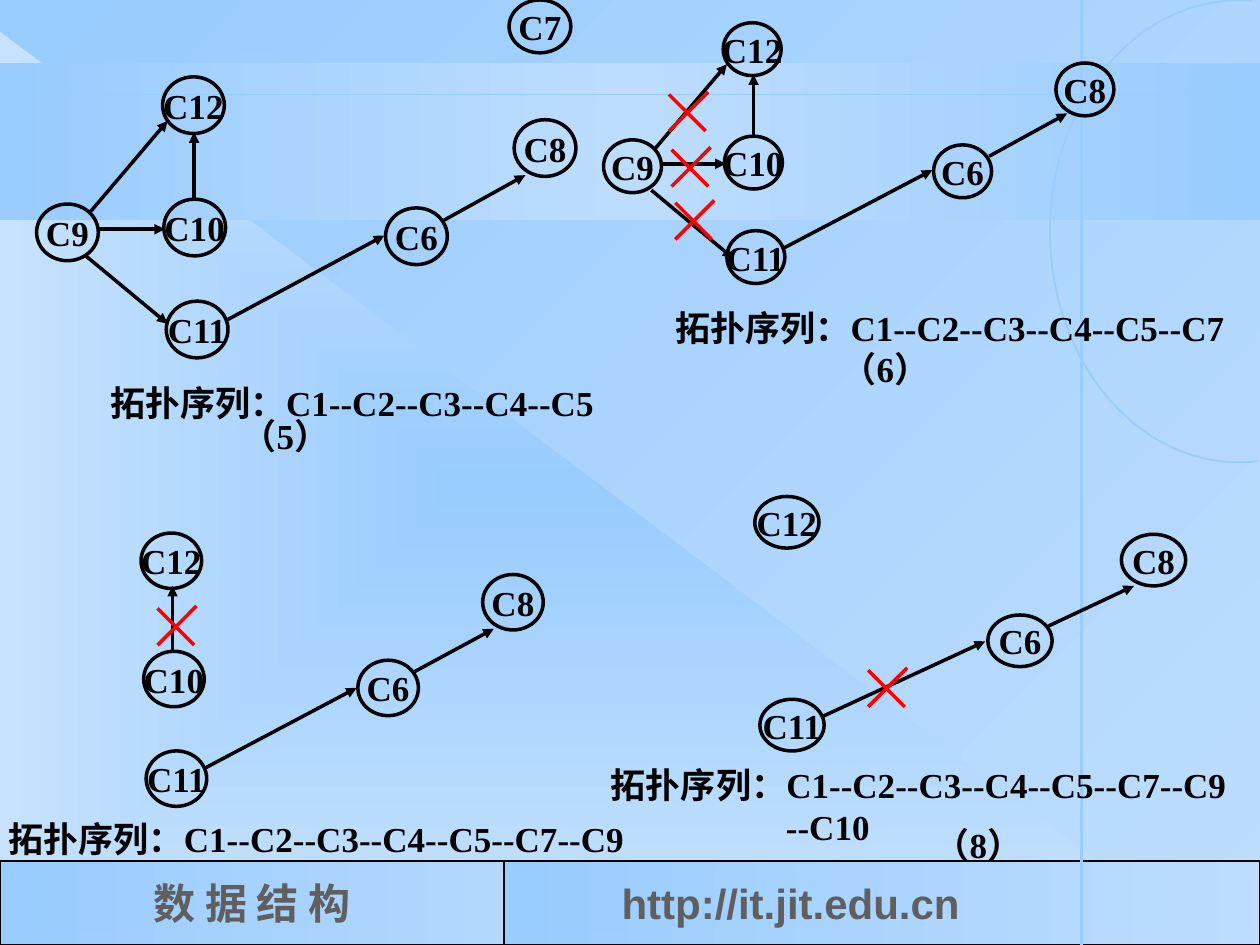
from dataclasses import dataclass
from math import cos, radians, sin

from lxml.etree import SubElement
from pptx import Presentation
from pptx.dml.color import RGBColor
from pptx.enum.shapes import MSO_CONNECTOR as Link, MSO_SHAPE as Preset
from pptx.enum.text import MSO_ANCHOR as Anchor, MSO_AUTO_SIZE as AutoSize, PP_ALIGN as Align
from pptx.oxml.ns import qn
from pptx.util import Pt

WIDTH, HEIGHT = 720, 540


@dataclass(frozen=True)
class Theme:
    ink: str = "000000"
    cross: str = "FF0000"
    footer: str = "5F5F5F"
    sky: str = "99CCFF"
    pale: str = "BDDDFE"
    mist: str = "C7E2FE"
    haze: str = "B3D8FE"
    serif: str = "Times New Roman"
    sans: str = "Arial"
    body_size: int = 20
    footer_size: int = 24
    stroke: float = 2
    frame: float = 1.5
    hairline: float = 1


class Sketch:
    def __init__(self, page, theme):
        self.page = page
        self.theme = theme

    def gradient(self, fill, holder, colours, angle=None):
        """Spread colours evenly along a clockwise angle, or from the centre without one."""
        fill.gradient()
        grad = holder.find(".//" + qn("a:gradFill"))
        for child in list(grad):
            grad.remove(child)
        stops = SubElement(grad, qn("a:gsLst"))
        for index, colour in enumerate(colours):
            position = 100000 * index // (len(colours) - 1)
            stop = SubElement(stops, qn("a:gs"), pos=str(position))
            SubElement(stop, qn("a:srgbClr"), val=colour)
        if angle is None:
            radial = SubElement(grad, qn("a:path"), path="rect")
            SubElement(radial, qn("a:fillToRect"), dict.fromkeys("ltrb", "50000"))
        else:
            SubElement(grad, qn("a:lin"), ang=str(angle * 60000), scaled="1")

    def backdrop(self, colours, angle):
        self.gradient(self.page.background.fill, self.page._element, colours, angle)

    def outline(self, line, colour, width):
        line.color.rgb = RGBColor.from_string(colour)
        line.width = Pt(width)

    def panel(self, preset, bounds, colours, angle=None, framed=False):
        shape = self.page.shapes.add_shape(preset, *map(Pt, bounds))
        shape.shadow.inherit = False
        self.gradient(shape.fill, shape._element.spPr, colours, angle)
        if framed:
            self.outline(shape.line, self.theme.ink, self.theme.frame)
        else:
            shape.line.fill.background()
        return shape

    def add_span(self, para, text, font=None, size=None, colour=None):
        span = para.add_run()
        span.text = text
        span.font.name = font or self.theme.serif
        span.font.size = Pt(size or self.theme.body_size)
        span.font.bold = True
        span.font.color.rgb = RGBColor.from_string(colour or self.theme.ink)

    def footer(self, left, width, colours, text, font, align, inset=7.2):
        box = self.panel(Preset.RECTANGLE, (left, 492, width, 48), colours, 180, framed=True)
        frame = box.text_frame
        frame.word_wrap = False
        frame.vertical_anchor = Anchor.MIDDLE
        frame.margin_left = Pt(inset)
        para = frame.paragraphs[0]
        para.alignment = align
        self.add_span(para, text, font, self.theme.footer_size, self.theme.footer)

    def line(self, start, end, colour, width, arrow=False):
        link = self.page.shapes.add_connector(Link.STRAIGHT, *map(Pt, (*start, *end)))
        self.outline(link.line, colour, width)
        if arrow:
            SubElement(link.line._get_or_add_ln(), qn("a:tailEnd"), type="triangle")
        SubElement(link._element.spPr, qn("a:effectLst"))

    def arc(self, centre, radii, first, last):
        """Trace an open part of an ellipse; angles in degrees, counter-clockwise."""
        points = [
            (Pt(centre[0] + radii[0] * cos(radians(a))), Pt(centre[1] - radii[1] * sin(radians(a))))
            for a in range(first, last + 1, 2)
        ]
        builder = self.page.shapes.build_freeform(*points[0])
        builder.add_line_segments(points[1:], close=False)
        shape = builder.convert_to_shape()
        shape.shadow.inherit = False
        shape.fill.background()
        self.outline(shape.line, self.theme.sky, self.theme.hairline)

    def node(self, name, corner, size):
        shape = self.page.shapes.add_shape(Preset.OVAL, *map(Pt, (*corner, *size)))
        shape.shadow.inherit = False
        shape.fill.background()
        self.outline(shape.line, self.theme.ink, self.theme.stroke)
        frame = shape.text_frame
        frame.word_wrap = False
        frame.vertical_anchor = Anchor.MIDDLE
        para = frame.paragraphs[0]
        para.alignment = Align.CENTER
        self.add_span(para, name)

    def caption(self, left, top, width, *lines, indent=100):
        """Place a caption whose lines after the first are indented."""
        height = 31.5 + 24 * (len(lines) - 1)
        box = self.page.shapes.add_textbox(*map(Pt, (left, top, width, height)))
        frame = box.text_frame
        frame.word_wrap = False
        frame.auto_size = AutoSize.SHAPE_TO_FIT_TEXT
        for index, text in enumerate(lines):
            para = frame.add_paragraph() if index else frame.paragraphs[0]
            para.alignment = Align.LEFT
            if index:
                para._p.get_or_add_pPr().set("marL", str(Pt(indent)))
            self.add_span(para, text)

    def cross(self, left, top, size=22.3, trim=1.4):
        right, bottom = left + size, top + size
        for start, end in (
            ((left, top + trim), (right - trim, bottom)),
            ((right, top), (left, bottom)),
        ):
            self.line(start, end, self.theme.cross, self.theme.stroke)

    def graph(self, size, nodes, edges, captions):
        for name, corner in nodes.items():
            self.node(name, corner, size)
        for start, end in edges:
            self.line(start, end, self.theme.ink, self.theme.stroke, arrow=True)
        for caption in captions:
            self.caption(*caption)


STEP_7 = dict(
    size=(34.6, 31.7),
    nodes={"C6": (204.5, 377.3), "C8": (275.8, 328.3), "C10": (82.1, 372.2),
           "C11": (83.5, 429.1), "C12": (80.6, 304.6)},
    edges=[((98.6, 373), (98.6, 334.8)), ((116.6, 439.2), (203.8, 393.1)),
           ((236.9, 383.8), (282.2, 359.3))],
    captions=[(-2.2, 463.7, 370.8, "拓扑序列：C1--C2--C3--C4--C5--C7--C9")],
)
STEP_8 = dict(
    size=(36.7, 29.5),
    nodes={"C6": (564.5, 351.4), "C8": (640.8, 305.3), "C11": (434.2, 399.6),
           "C12": (431.3, 283.7)},
    edges=[((469.4, 409.7), (563, 366.5)), ((599, 357.8), (648, 334.8))],
    captions=[(342, 432.7, 370.8, "拓扑序列：C1--C2--C3--C4--C5--C7--C9", "--C10"),
              (527, 467.3, 74.2, "（8）")],
)
STEP_5 = dict(
    size=(35.3, 32.4),
    nodes={"C6": (220.3, 118.8), "C8": (293.8, 68.4), "C9": (20.9, 116.6),
           "C10": (93.6, 113.8), "C11": (95, 172.1), "C12": (92.9, 43.9)},
    edges=[((51.1, 121.7), (95.8, 69.1)), ((56.2, 131), (94.3, 131)),
           ((110.9, 114.5), (110.9, 75.6)), ((129.6, 182.9), (219.6, 134.6)),
           ((253.4, 126), (300.2, 100.1)), ((49, 146.2), (95.8, 185))],
    captions=[(56.2, 214.6, 295.2, "拓扑序列：C1--C2--C3--C4--C5"),
              (131, 233.3, 74.2, "（5）")],
)
STEP_6 = dict(
    size=(33.1, 30.2),
    nodes={"C6": (533.5, 82.8), "C8": (603.4, 36), "C9": (344.9, 79.9),
           "C10": (414, 77.8), "C11": (415.4, 131.8), "C12": (413.3, 13)},
    edges=[((373.7, 85.7), (415.4, 36.7)), ((378.7, 93.6), (414.7, 93.6)),
           ((430.6, 78.5), (430.6, 42.5)), ((447.8, 141.8), (532.8, 97.2)),
           ((565.2, 89.3), (609.8, 64.8)), ((372.2, 108.7), (419, 147.6))],
    captions=[(378.7, 171.4, 332.6, "拓扑序列：C1--C2--C3--C4--C5--C7"),
              (473.8, 195.1, 74.2, "（6）")],
)
REMOVED_EDGES = [(90, 346.3), (496.1, 381.6), (382.3, 52.6), (383.8, 84.2), (385.9, 114.5)]


def main():
    deck = Presentation()
    deck.slide_width, deck.slide_height = Pt(WIDTH), Pt(HEIGHT)
    theme = Theme()
    sketch = Sketch(deck.slides.add_slide(deck.slide_layouts[6]), theme)

    sketch.backdrop([theme.pale, theme.sky], 225)
    sketch.panel(Preset.RIGHT_TRIANGLE, (0, 18, 690, 522), [theme.sky, theme.mist])
    sketch.panel(Preset.RECTANGLE, (0, 36, WIDTH, 90), [theme.sky, theme.pale, theme.sky], 180)
    sketch.footer(0, 288, [theme.haze, theme.sky], "数 据 结 构", theme.serif, Align.CENTER)
    sketch.footer(288, 432, [theme.pale, theme.sky], "http://it.jit.edu.cn",
                  theme.sans, Align.LEFT, inset=67.2)
    sketch.line((0, 54), (WIDTH, 54), theme.sky, theme.hairline)
    sketch.line((618, 0), (618, HEIGHT), theme.sky, theme.frame)
    sketch.arc((708, 132.2), (108, 132), 86, 276)

    for step in (STEP_7, STEP_8, STEP_5, STEP_6):
        sketch.graph(**step)
    sketch.node("C7", (290.9, 0), (35.3, 30.2))
    for corner in REMOVED_EDGES:
        sketch.cross(*corner)
    deck.save("out.pptx")


if __name__ == "__main__":
    main()
